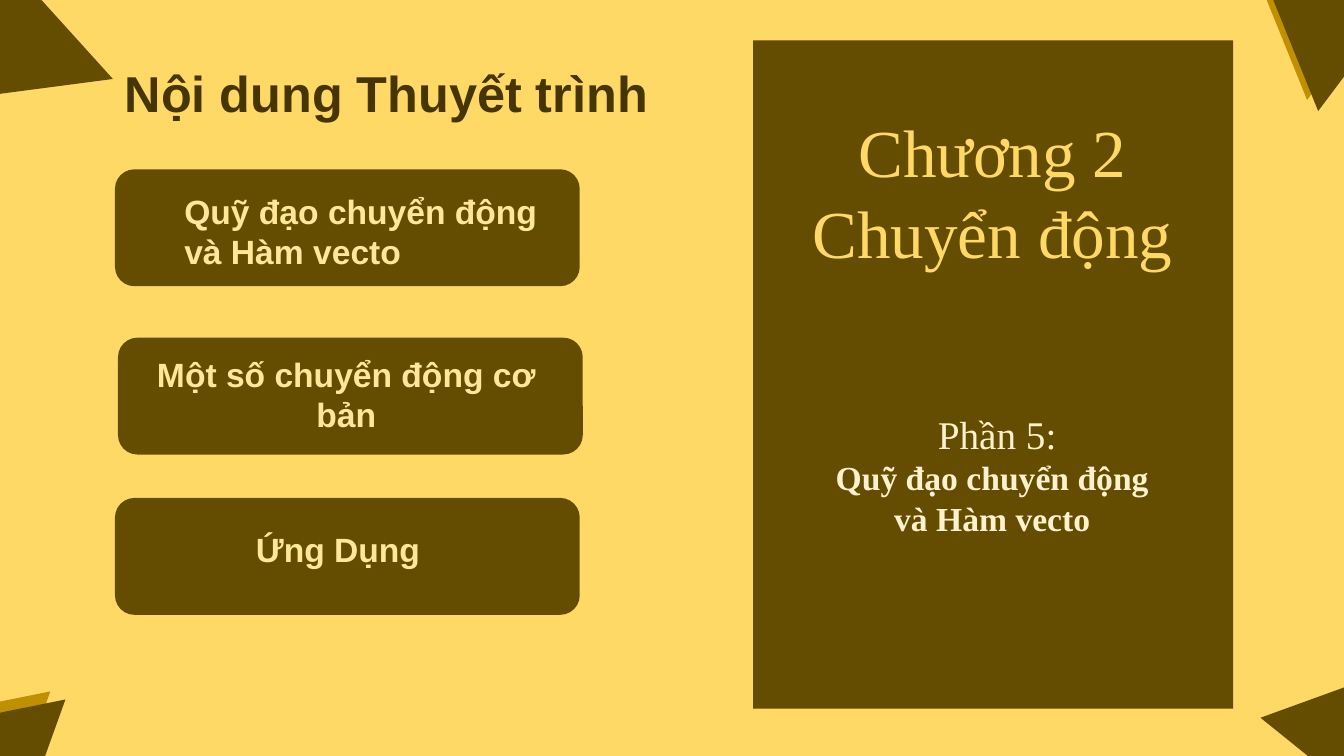
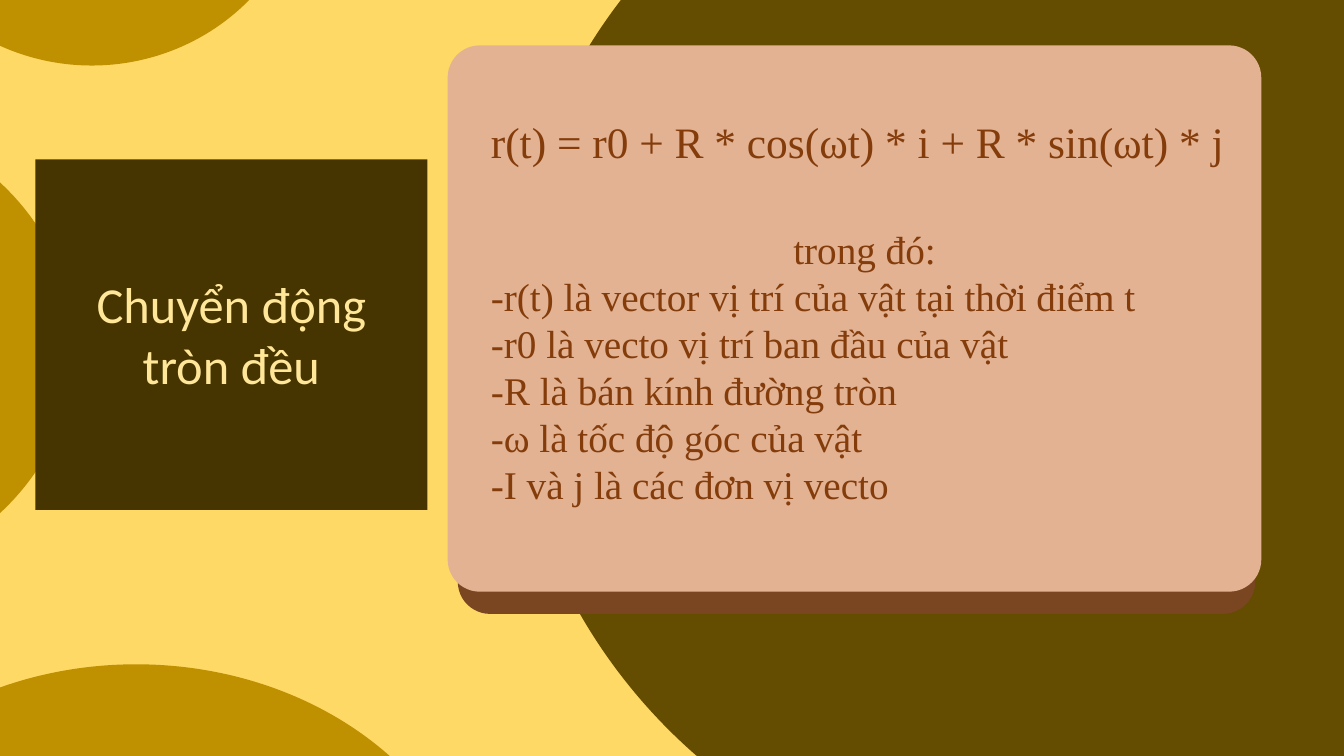
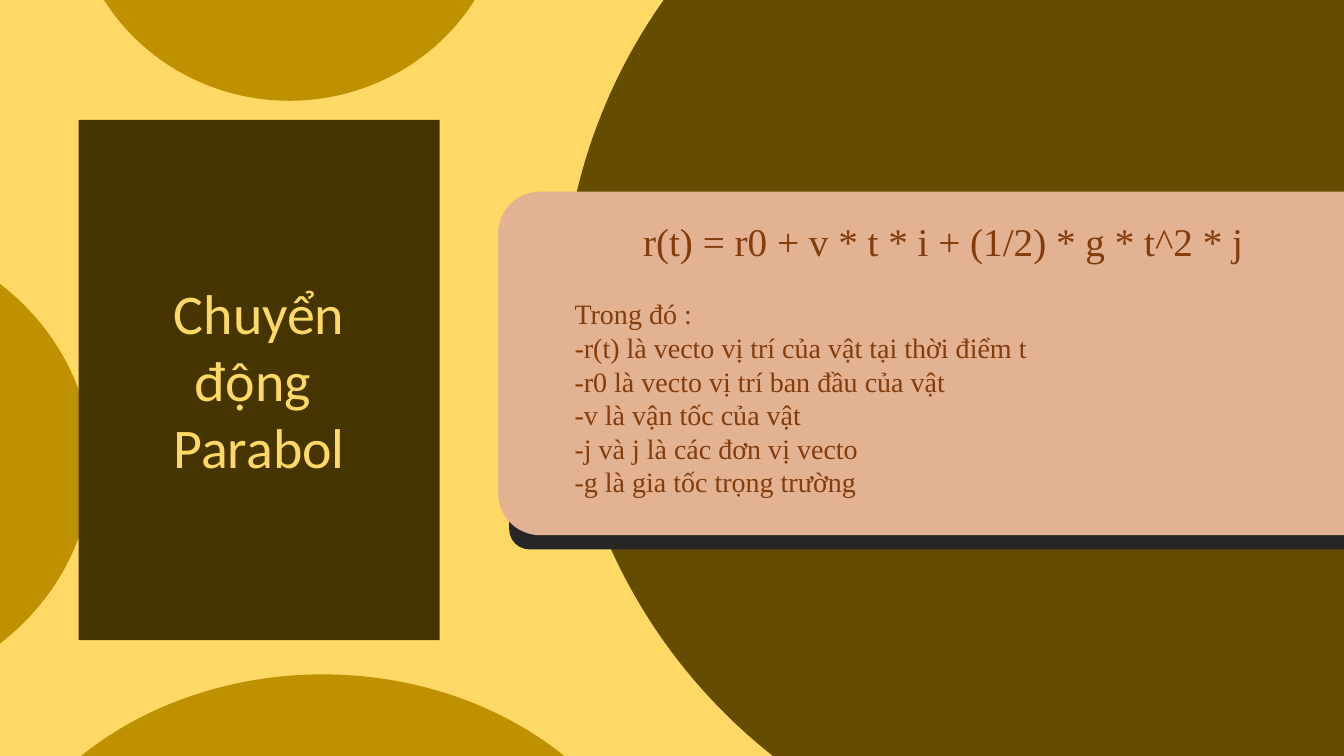
import pptx
import pptx.util
from pptx.dml.color import RGBColor
from pptx.enum.shapes import MSO_SHAPE
from pptx.enum.text import PP_ALIGN
from pptx.util import Inches

YELLOW = RGBColor(0xFF, 0xD9, 0x66)
PALE = RGBColor(0xFF, 0xE6, 0x99)
CREAM = RGBColor(0xFF, 0xF2, 0xCC)
GOLD = RGBColor(0xBF, 0x90, 0x00)
OLIVE = RGBColor(0x64, 0x4C, 0x00)
DARK_OLIVE = RGBColor(0x46, 0x35, 0x00)
PEACH = RGBColor(0xE2, 0xB2, 0x92)
BROWN = RGBColor(0x7A, 0x46, 0x21)
RUST = RGBColor(0x84, 0x3C, 0x0B)
CHARCOAL = RGBColor(0x26, 0x26, 0x26)

SANS, SERIF, TITLE_FONT = "Arial", "Times New Roman", "Calibri"

TRIANGLE = MSO_SHAPE.ISOSCELES_TRIANGLE
RECT = MSO_SHAPE.RECTANGLE
ROUNDED = MSO_SHAPE.ROUNDED_RECTANGLE
OVAL = MSO_SHAPE.OVAL

ORB_SIZES = [(4.32, 4.21), (5.27, 4.72), (6.92, 5.81)]
DISC_SIZE = (11.78, 11)
TILE_SIZE = (4.61, 1.16)


def add_slide(prs):
    s = prs.slides.add_slide(prs.slide_layouts[6])
    s.background.fill.solid()
    s.background.fill.fore_color.rgb = YELLOW
    return s


def add_block(s, kind, box, color, rotation=0, corner=None):
    """Add a plain filled shape; box is left, top, width, height in inches."""
    sp = s.shapes.add_shape(kind, *map(Inches, box))
    sp.shadow.inherit = False
    sp.fill.solid()
    sp.fill.fore_color.rgb = color
    sp.line.fill.background()
    sp.rotation = rotation
    if corner is not None:
        sp.adjustments[0] = corner


def add_text(s, box, lines, font, color, align=PP_ALIGN.LEFT):
    """Add a text box; each line is text, size and optional bold, before (pt), indent (in)."""
    tf = s.shapes.add_textbox(*map(Inches, box)).text_frame
    tf.word_wrap = True
    for i, (text, size, *options) in enumerate(lines):
        style = options[0] if options else {}
        p = tf.add_paragraph() if i else tf.paragraphs[0]
        p.text = text
        p.alignment = align
        if "before" in style:
            p.space_before = pptx.util.Pt(style["before"])
        if "indent" in style:
            p._p.get_or_add_pPr().set("marL", str(Inches(style["indent"])))
        for r in p.runs:
            r.font.name = font
            r.font.size = pptx.util.Pt(size)
            r.font.bold = style.get("bold", False)
            r.font.color.rgb = color


def add_corners(s):
    add_block(s, TRIANGLE, (-0.81, -0.43, 1.85, 1.34), OLIVE, 352.5)
    for left, top, color, rotation in [
        (12.7, 6.56, OLIVE, 38.9),
        (12.56, -0.38, GOLD, 68),
        (12.67, -0.27, OLIVE, 68),
        (-0.71, 6.98, GOLD, 168.6),
        (-0.56, 7.06, OLIVE, 168.6),
    ]:
        add_block(s, TRIANGLE, (left, top, 1.33, 1.1), color, rotation)


def add_tile(s, left, top, text, inset, align=PP_ALIGN.LEFT):
    """Add a contents tile; inset is the text box relative to the tile."""
    dx, dy, width, height = inset
    add_block(s, ROUNDED, (left, top, *TILE_SIZE), OLIVE)
    add_text(s, (left + dx, top + dy, width, height),
             [(text, 24, {"bold": True})], SANS, PALE, align)


def add_chapter_panel(s, left, top, width, height):
    add_block(s, RECT, (left, top, width, height), OLIVE)
    add_text(s, (left + 0.41, top + 0.65, 3.93, 1.72),
             [("Chương 2", 48), ("Chuyển động", 48)],
             SERIF, YELLOW, PP_ALIGN.CENTER)
    add_text(s, (left + 0.62, top + 3.62, 3.5, 1.68),
             [("Phần 5:", 28, {"indent": 0.1}),
              ("Quỹ đạo chuyển động và Hàm vecto", 24, {"bold": True})],
             SERIF, CREAM, PP_ALIGN.CENTER)


def add_contents_slide(prs):
    s = add_slide(prs)
    add_corners(s)
    add_chapter_panel(s, 7.47, 0.4, 4.76, 6.63)
    add_text(s, (1.14, 0.57, 5.7, 0.71),
             [("Nội dung Thuyết trình", 36, {"bold": True})], SANS, DARK_OLIVE)
    add_tile(s, 1.14, 1.68, "Quỹ đạo chuyển động và Hàm vecto",
             (0.59, 0.16, 3.94, 0.91))
    add_tile(s, 1.17, 3.35, "Một số chuyển động cơ bản",
             (-0.02, 0.11, 4.57, 0.91), PP_ALIGN.CENTER)
    add_tile(s, 1.14, 4.94, "Ứng Dụng", (1.3, 0.26, 2.07, 0.5))


def add_backdrop(s, disc_at, orbs_at):
    add_block(s, ROUNDED, (*disc_at, *DISC_SIZE), OLIVE, corner=0.5)
    for at, size in zip(orbs_at, ORB_SIZES):
        add_block(s, OVAL, (*at, *size), GOLD)


def add_title_card(s, box, text_height, margin, lines, color):
    """Add a dark card with its title centred in it."""
    left, top, width, height = box
    add_block(s, RECT, box, DARK_OLIVE)
    text_box = (left + margin, top + (height - text_height) / 2,
                width - 2 * margin, text_height)
    add_text(s, text_box, lines, TITLE_FONT, color, PP_ALIGN.CENTER)


def add_formula_panel(s, box, corner, under, under_color, inset, lines):
    """Add a panel over a darker one; under and inset are relative to the panel."""
    left, top = box[:2]
    for (dx, dy, *size), color, rounding in [
        (under, under_color, 0.059),
        ((0, 0, *box[2:]), PEACH, corner),
    ]:
        add_block(s, ROUNDED, (left + dx, top + dy, *size), color, corner=rounding)
    dx, dy, width, height = inset
    add_text(s, (left + dx, top + dy, width, height), lines, SERIF, RUST)


def add_circle_slide(prs):
    s = add_slide(prs)
    add_backdrop(s, (5.02, -2.15), [(-1.25, -3.56), (-4.53, 1.09), (-2.11, 6.59)])
    terms = ["-r(t) là vector vị trí của vật tại thời điểm t",
             "-r0 là vecto vị trí ban đầu của vật",
             "-R là bán kính đường tròn",
             "-ω là tốc độ góc của vật",
             "-I và j là các đơn vị vecto"]
    add_formula_panel(
        s, (4.44, 0.45, 8.07, 5.42), 0.059, (0.1, 0.22, 7.91, 5.42), BROWN,
        (0.33, 0.64, 7.62, 4.06),
        [("r(t) = r0 + R * cos(ωt) * i + R * sin(ωt) * j", 31),
         ("trong đó:", 28, {"before": 41.4, "indent": 3})]
        + [(term, 28) for term in terms])
    add_title_card(s, (0.35, 1.58, 3.89, 3.48), 1.31, 0.37,
                   [("Chuyển động tròn đều", 36)], PALE)


def add_parabola_slide(prs):
    s = add_slide(prs)
    add_backdrop(s, (5.57, -2.32), [(0.71, -3.21), (-4.36, 2.24), (-0.26, 6.69)])
    add_title_card(s, (0.78, 1.19, 3.58, 5.16), 2.12, 0.72,
                   [("Chuyển động ", 40), ("Parabol", 40)], YELLOW)
    terms = ["-r(t) là vecto vị trí của vật tại thời điểm t",
             "-r0 là vecto vị trí ban đầu của vật",
             "-v là vận tốc của vật",
             "-j và j là các đơn vị vecto",
             "-g là gia tốc trọng trường"]
    add_formula_panel(
        s, (4.94, 1.9, 8.8, 3.41), 0.123, (0.11, 0.14, 8.62, 3.41), CHARCOAL,
        (0.66, 0.21, 7.53, 3.23),
        [("r(t) = r0 + v * t * i + (1/2) * g * t^2 * j", 28, {"indent": 0.68}),
         ("Trong đó :", 20, {"before": 23})]
        + [(term, 20) for term in terms])


def main():
    prs = pptx.Presentation()
    prs.slide_width, prs.slide_height = Inches(13.33), Inches(7.5)
    add_contents_slide(prs)
    add_circle_slide(prs)
    add_parabola_slide(prs)
    prs.save("out.pptx")


if __name__ == "__main__":
    main()
